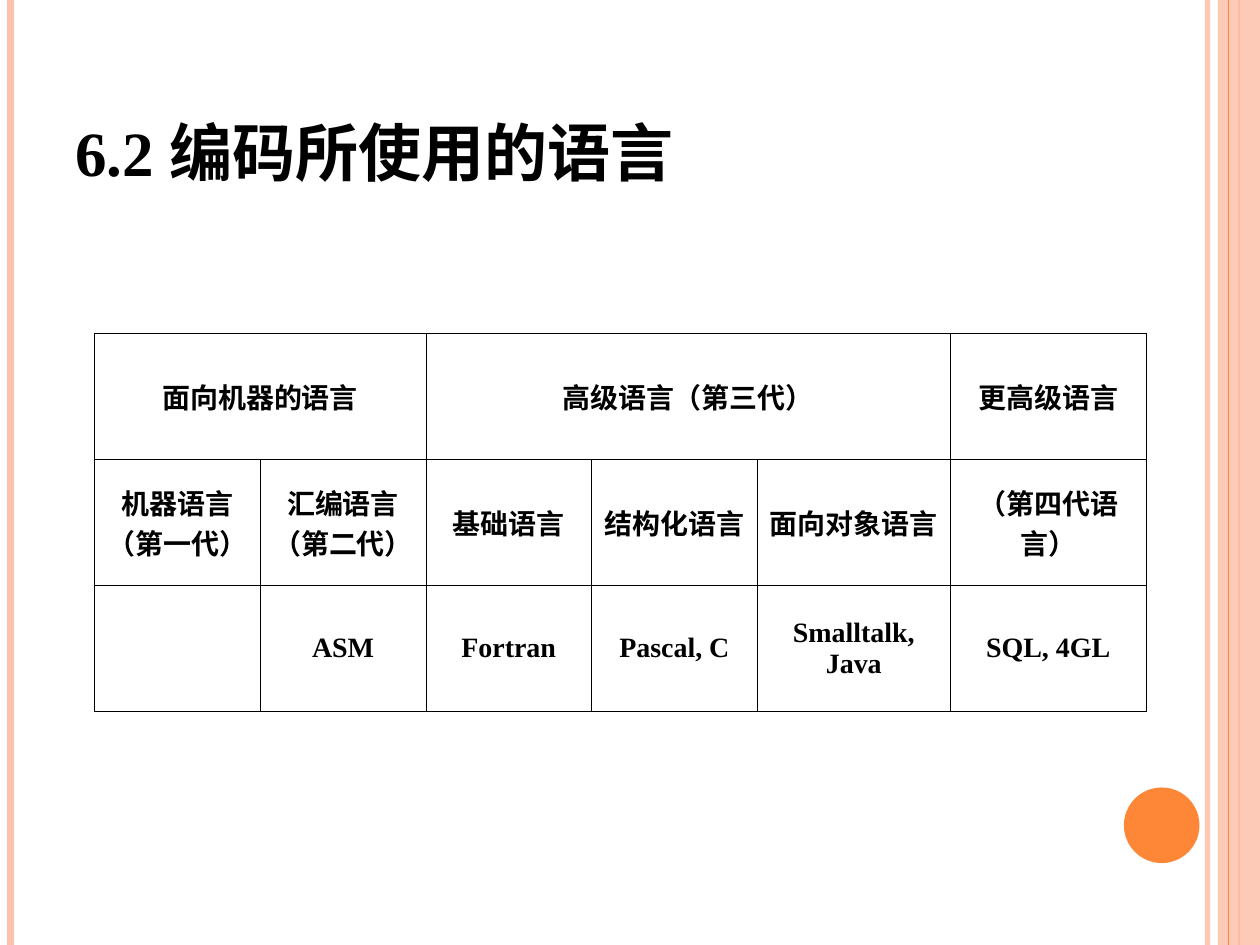
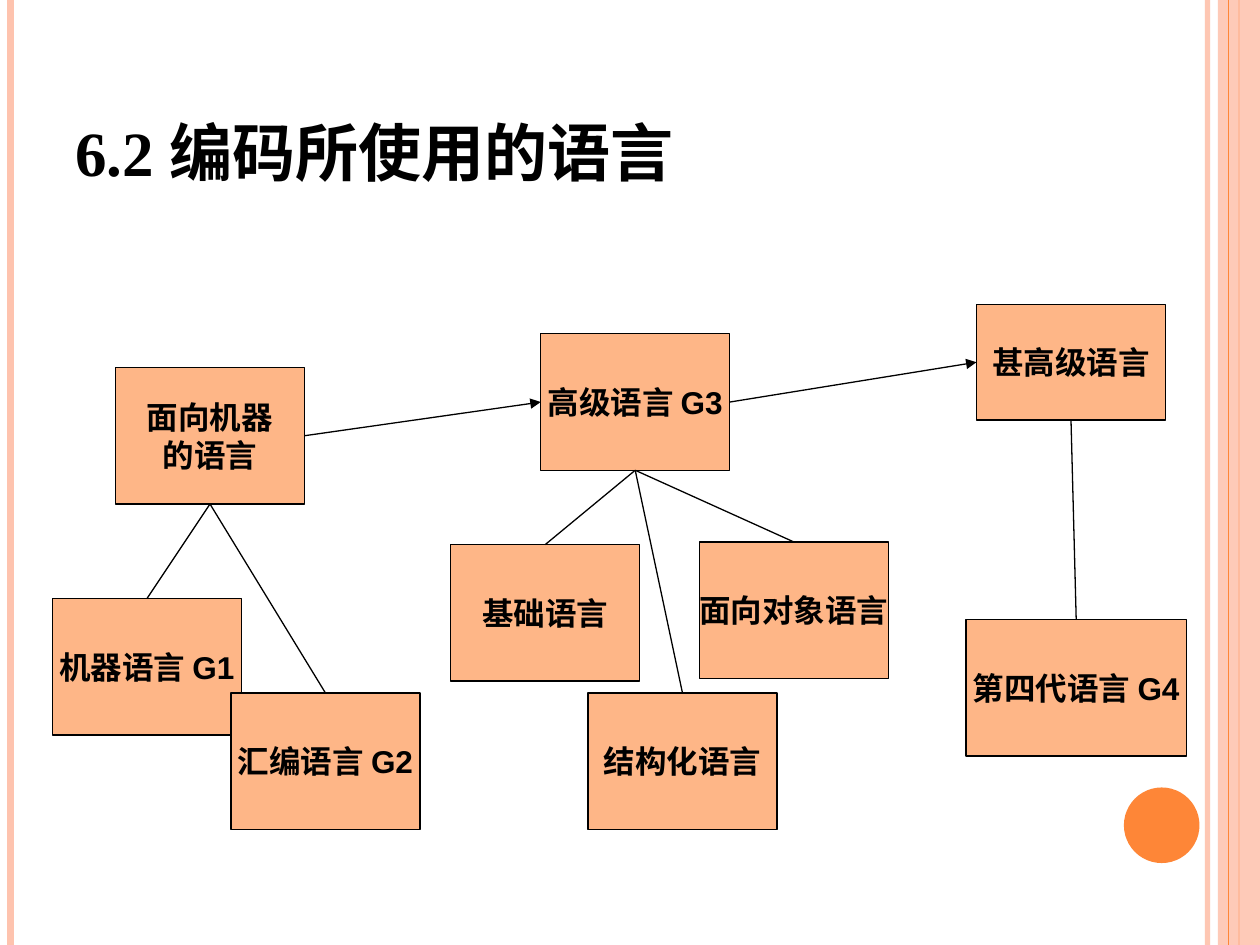
import pptx
import pptx.util
import pptx.dml.color
import pptx.enum.shapes
import pptx.enum.text
import pptx.oxml.ns
from lxml import etree

Pt = pptx.util.Pt
SHAPE = pptx.enum.shapes.MSO_SHAPE
ALIGN = pptx.enum.text.PP_ALIGN
ANCHOR = pptx.enum.text.MSO_ANCHOR

# Content
HEADING = "6.2 编码所使用的语言"

# Each entry: text, number of columns it spans
GENERATIONS = [
    [("面向机器的语言", 2), ("高级语言（第三代）", 3), ("更高级语言", 1)],
    [("机器语言（第一代）", 1), ("汇编语言（第二代）", 1), ("基础语言", 1),
     ("结构化语言", 1), ("面向对象语言", 1), ("（第四代语言）", 1)],
    [("", 1), ("ASM", 1), ("Fortran", 1), ("Pascal, C", 1),
     ("Smalltalk, Java", 1), ("SQL, 4GL", 1)],
]

# Each entry: lines of text, left, top, width, height
LANGUAGES = {
    "machine-oriented": (["面向机器", "的语言"], 66, 210, 108, 78),
    "high-level": (["高级语言 G3"], 309, 190.75, 108, 78),
    "very high-level": (["甚高级语言"], 558, 174, 108, 66),
    "machine": (["机器语言 G1"], 30, 342, 108, 78),
    "assembly": (["汇编语言 G2"], 132, 396, 108, 78),
    "basic": (["基础语言"], 257.5, 311.25, 108, 78),
    "structured": (["结构化语言"], 336, 396, 108, 78),
    "object-oriented": (["面向对象语言"], 399.75, 309.75, 108, 78),
    "fourth generation": (["第四代语言 G4"], 552, 354, 126, 78),
}
EVOLUTION = ["machine-oriented", "high-level", "very high-level"]
FAMILIES = {
    "machine-oriented": ["machine", "assembly"],
    "high-level": ["basic", "structured", "object-oriented"],
    "very high-level": ["fourth generation"],
}

# Look
COLORS = {"ink": "000000", "accent": "FE8637", "pale": "FEC3AE", "box": "FEB687"}
WIDTH, HEIGHT = 720, 540
TABLE_LEFT, TABLE_TOP, ROW_HEIGHT = 54, 190.5, 72
COLUMN_WIDTHS = [94.7] * 4 + [110.3, 112]
TOP, LEFT, BOTTOM, RIGHT = range(4)  # connection sites of a rectangle

HEADING_FONT = {"name": "Times New Roman", "size": Pt(36), "bold": True}
TABLE_FONT = {"name": "Times New Roman", "size": Pt(16), "bold": True}
BOX_FONT = {"name": "Arial", "size": Pt(18), "bold": True}
HEADING_FRAME = {"word_wrap": True, "vertical_anchor": ANCHOR.BOTTOM}
BOX_FRAME = {"word_wrap": False, "vertical_anchor": ANCHOR.MIDDLE}
CELL_FRAME = {"vertical_anchor": ANCHOR.MIDDLE, "margin_left": Pt(5.76),
              "margin_right": Pt(5.76), "margin_top": Pt(3.6),
              "margin_bottom": Pt(3.6)}


def apply(target, values):
    for key, value in values.items():
        setattr(target, key, value)


def rgb(color):
    return pptx.dml.color.RGBColor.from_string(COLORS[color])


def add_element(parent, tag, **attributes):
    return etree.SubElement(parent, pptx.oxml.ns.qn(tag), attributes)


def write(frame, lines, font, align):
    for index, line in enumerate(lines):
        paragraph = frame.add_paragraph() if index else frame.paragraphs[0]
        paragraph.alignment = align
        run = paragraph.add_run()
        run.text = line
        apply(run.font, font)
        run.font.color.rgb = rgb("ink")


def set_alpha(element, percent):
    for color in element.iter(pptx.oxml.ns.qn("a:srgbClr")):
        add_element(color, "a:alpha", val=str(percent * 1000))


def add_block(slide, kind, box, fill, outline=None):
    block = slide.shapes.add_shape(kind, *map(Pt, box))
    block.shadow.inherit = False
    block.fill.solid()
    block.fill.fore_color.rgb = rgb(fill)
    if outline:
        block.line.color.rgb = rgb(outline)
        block.line.width = Pt(0.75)
    else:
        block.line.fill.background()
    return block


def add_line(slide, color="ink", width=0.75, ends=(0, 0, 0, 0)):
    line = slide.shapes.add_connector(
        pptx.enum.shapes.MSO_CONNECTOR.STRAIGHT, *map(Pt, ends))
    line.line.color.rgb = rgb(color)
    line.line.width = Pt(width)
    add_element(line._element.spPr, "a:effectLst")
    return line


def link(slide, start, start_site, end, end_site, arrow=False):
    line = add_line(slide)
    line.begin_connect(start, start_site)
    line.end_connect(end, end_site)
    if arrow:
        add_element(line.line._get_or_add_ln(), "a:tailEnd", type="triangle")


def add_stripe(slide, x, color, width):
    return add_line(slide, color, width, (x, 0, x, HEIGHT))


def add_page(deck):
    """Blank slide with side stripes, disc and heading."""
    slide = deck.slides.add_slide(deck.slide_layouts[6])
    set_alpha(add_stripe(slide, 690, "pale", 3)._element, 93)
    add_stripe(slide, 6, "pale", 4.5)
    add_stripe(slide, 708, "accent", 1.5)
    band = add_block(slide, SHAPE.RECTANGLE, (696, 0, 24, HEIGHT), "pale")
    set_alpha(band._element.spPr, 87)
    add_stripe(slide, 702, "accent", 0.75)
    add_block(slide, SHAPE.OVAL, (642.24, 450, 43.2, 43.2), "accent")
    heading = slide.shapes.add_textbox(Pt(36), Pt(21.6), Pt(588), Pt(90)).text_frame
    apply(heading, HEADING_FRAME)
    write(heading, [HEADING], HEADING_FONT, ALIGN.LEFT)
    return slide


def style_cell(cell):
    apply(cell, CELL_FRAME)
    properties = cell._tc.get_or_add_tcPr()
    for side in ("a:lnL", "a:lnR", "a:lnT", "a:lnB"):
        border = add_element(properties, side, w=str(int(Pt(0.45))))
        fill = add_element(border, "a:solidFill")
        add_element(fill, "a:srgbClr", val=COLORS["ink"])
    cell.fill.background()


def add_generations_table(slide):
    size = len(GENERATIONS), len(COLUMN_WIDTHS)
    table = slide.shapes.add_table(
        *size, Pt(TABLE_LEFT), Pt(TABLE_TOP), Pt(sum(COLUMN_WIDTHS)),
        Pt(ROW_HEIGHT * size[0])).table
    apply(table, {"first_row": False, "horz_banding": False})
    for column, width in zip(table.columns, COLUMN_WIDTHS):
        column.width = Pt(width)
    for cell in table.iter_cells():
        style_cell(cell)
    for row, entries in enumerate(GENERATIONS):
        table.rows[row].height = Pt(ROW_HEIGHT)
        column = 0
        for text, span in entries:
            cell = table.cell(row, column)
            if span > 1:
                cell.merge(table.cell(row, column + span - 1))
            if text:
                write(cell.text_frame, [text], TABLE_FONT, ALIGN.CENTER)
            column += span


def add_language_tree(slide):
    boxes = {}
    for language, (lines, *box) in LANGUAGES.items():
        boxes[language] = add_block(slide, SHAPE.RECTANGLE, box, "box", "ink")
        frame = boxes[language].text_frame
        apply(frame, BOX_FRAME)
        write(frame, lines, BOX_FONT, ALIGN.CENTER)
    for earlier, later in zip(EVOLUTION, EVOLUTION[1:]):
        link(slide, boxes[earlier], RIGHT, boxes[later], LEFT, arrow=True)
    for family, members in FAMILIES.items():
        for member in members:
            link(slide, boxes[family], BOTTOM, boxes[member], TOP)


def main():
    deck = pptx.Presentation()
    apply(deck, {"slide_width": Pt(WIDTH), "slide_height": Pt(HEIGHT)})
    add_generations_table(add_page(deck))
    add_language_tree(add_page(deck))
    deck.save("out.pptx")


if __name__ == "__main__":
    main()
